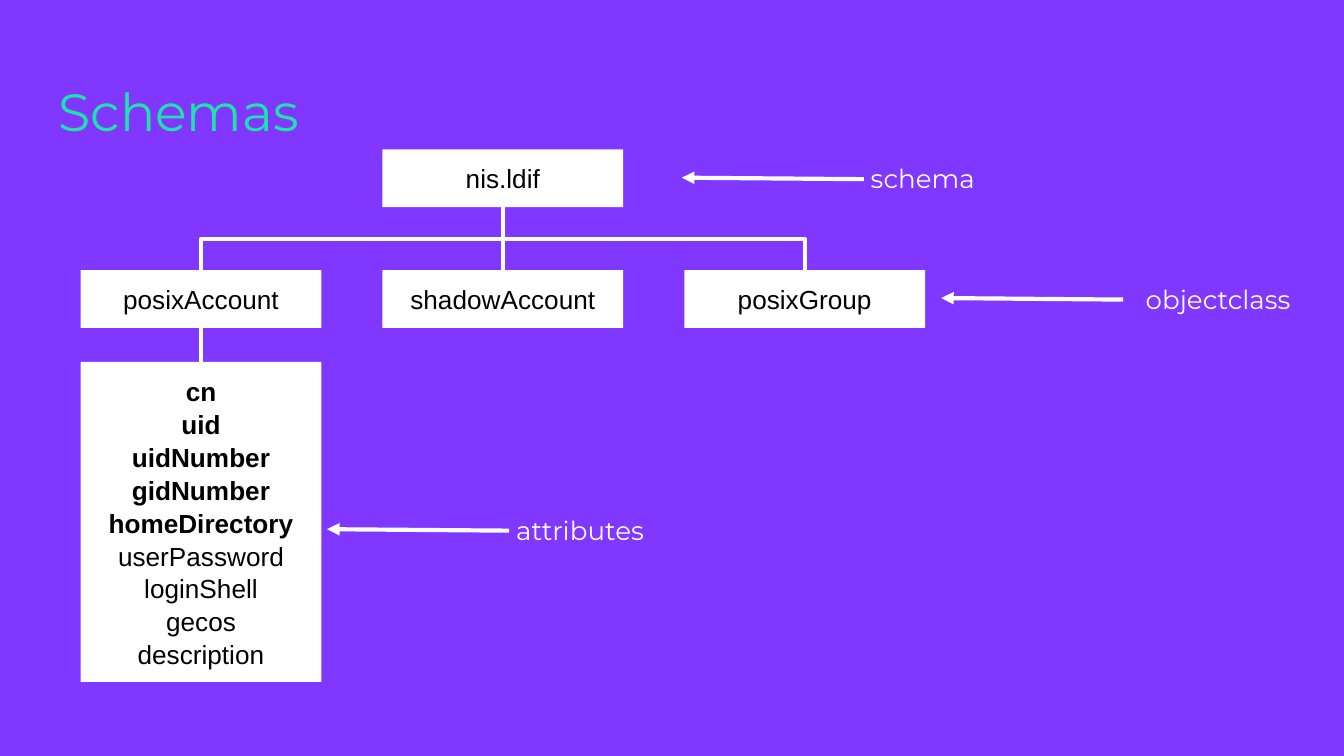
import pptx
import pptx.util
import pptx.dml.color
import pptx.enum.shapes
import pptx.enum.text
import pptx.oxml
import pptx.oxml.ns

Pt = pptx.util.Pt
CONNECTOR = pptx.enum.shapes.MSO_CONNECTOR
PURPLE, GREEN, WHITE, BLACK = "8037FF", "1EE2AA", "FFFFFF", "000000"


def paint(fill, colour):
    fill.solid()
    fill.fore_color.rgb = pptx.dml.color.RGBColor.from_string(colour)


def write(shape, text, font="Arial", size=14, colour=BLACK, align="LEFT",
          anchor="TOP", bold_lines=0, spacing=1.0):
    frame = shape.text_frame
    frame.word_wrap = True
    frame.vertical_anchor = pptx.enum.text.MSO_ANCHOR[anchor]
    frame.margin_left = frame.margin_right = Pt(7.2)
    frame.margin_top = frame.margin_bottom = Pt(7.2)
    for number, line in enumerate(text.split("\n")):
        paragraph = frame.add_paragraph() if number else frame.paragraphs[0]
        paragraph.alignment = pptx.enum.text.PP_ALIGN[align]
        paragraph.line_spacing = spacing
        run = paragraph.add_run()
        run.text = line
        run.font.name = font
        run.font.size = Pt(size)
        run.font.bold = number < bold_lines
        paint(run.font.fill, colour)


deck = pptx.Presentation()
deck.slide_width, deck.slide_height = Pt(720), Pt(405)
slide = deck.slides.add_slide(deck.slide_layouts[6])
paint(slide.background.fill, PURPLE)

# Title and row labels
labels = [
    ("Schemas", 24.5, 35.5, 671, 45, 28, GREEN),
    ("schema", 459.4, 80, 72, 31, 14, WHITE),
    ("objectclass", 606.7, 144.7, 92, 31, 14, WHITE),
    ("attributes", 269.4, 268.4, 104, 31, 14, WHITE),
]
for text, left, top, width, height, size, colour in labels:
    label = slide.shapes.add_textbox(Pt(left), Pt(top), Pt(width), Pt(height))
    write(label, text, font="Montserrat", size=size, colour=colour)

# Tree boxes on three equal columns
box_width, box_height = 129, 31
columns = [43.2 + 161.7 * column for column in range(3)]
schema_top, class_top, attribute_top = 80, 144.7, 193.9
attributes = "\n".join([
    "cn", "uid", "uidNumber", "gidNumber", "homeDirectory",
    "userPassword", "loginShell", "gecos", "description",
])
boxes = [
    ("nis.ldif", columns[1], schema_top, box_height, {}),
    ("posixAccount", columns[0], class_top, box_height, {}),
    ("shadowAccount", columns[1], class_top, box_height, {}),
    ("posixGroup", columns[2], class_top, box_height, {}),
    (attributes, columns[0], attribute_top, 171.4,
     {"bold_lines": 5, "spacing": 1.05}),
]
for text, left, top, height, style in boxes:
    box = slide.shapes.add_shape(
        pptx.enum.shapes.MSO_SHAPE.RECTANGLE,
        Pt(left), Pt(top), Pt(box_width), Pt(height))
    box.shadow.inherit = False
    paint(box.fill, WHITE)
    box.line.fill.background()
    write(box, text, align="CENTER", anchor="MIDDLE", **style)

# Label arrows: kind, begin, end, rotation
lines = [
    (CONNECTOR.STRAIGHT, x, y, x - 97.5, y - 0.8, 0)
    for x, y in [(462.8, 96), (601.7, 160.5), (272.7, 284.3)]
]

# Branches: horizontal elbows turned a quarter so that they run downwards
centers = [left + box_width / 2 for left in columns]
branches = [(centers[1], schema_top, center, class_top) for center in centers]
branches.append((centers[0], class_top, centers[0], attribute_top))
for parent_x, parent_top, child_x, child_top in branches:
    parent_bottom = parent_top + box_height
    middle_x = (parent_x + child_x) / 2
    middle_y = (parent_bottom + child_top) / 2
    half_span = abs(child_x - parent_x) / 2
    half_drop = (child_top - parent_bottom) / 2
    rotation = 90 if child_x < parent_x else 270
    if rotation == 270:
        half_drop = -half_drop
    lines.append((CONNECTOR.ELBOW, middle_x - half_drop, middle_y - half_span,
                  middle_x + half_drop, middle_y + half_span, rotation))

for kind, begin_x, begin_y, end_x, end_y, rotation in lines:
    line = slide.shapes.add_connector(
        kind, Pt(begin_x), Pt(begin_y), Pt(end_x), Pt(end_y))
    line.line.width = Pt(2.25)
    paint(line.line.fill, WHITE)
    properties = line._element.spPr
    if kind == CONNECTOR.STRAIGHT:
        outline = properties.find(pptx.oxml.ns.qn("a:ln"))
        outline.append(pptx.oxml.parse_xml(
            f'<a:tailEnd {pptx.oxml.ns.nsdecls("a")} type="triangle"/>'))
    else:
        properties.find(pptx.oxml.ns.qn("a:xfrm")).set("rot", str(rotation * 60000))
    properties.append(pptx.oxml.parse_xml(
        f'<a:effectLst {pptx.oxml.ns.nsdecls("a")}/>'))

deck.save("out.pptx")
